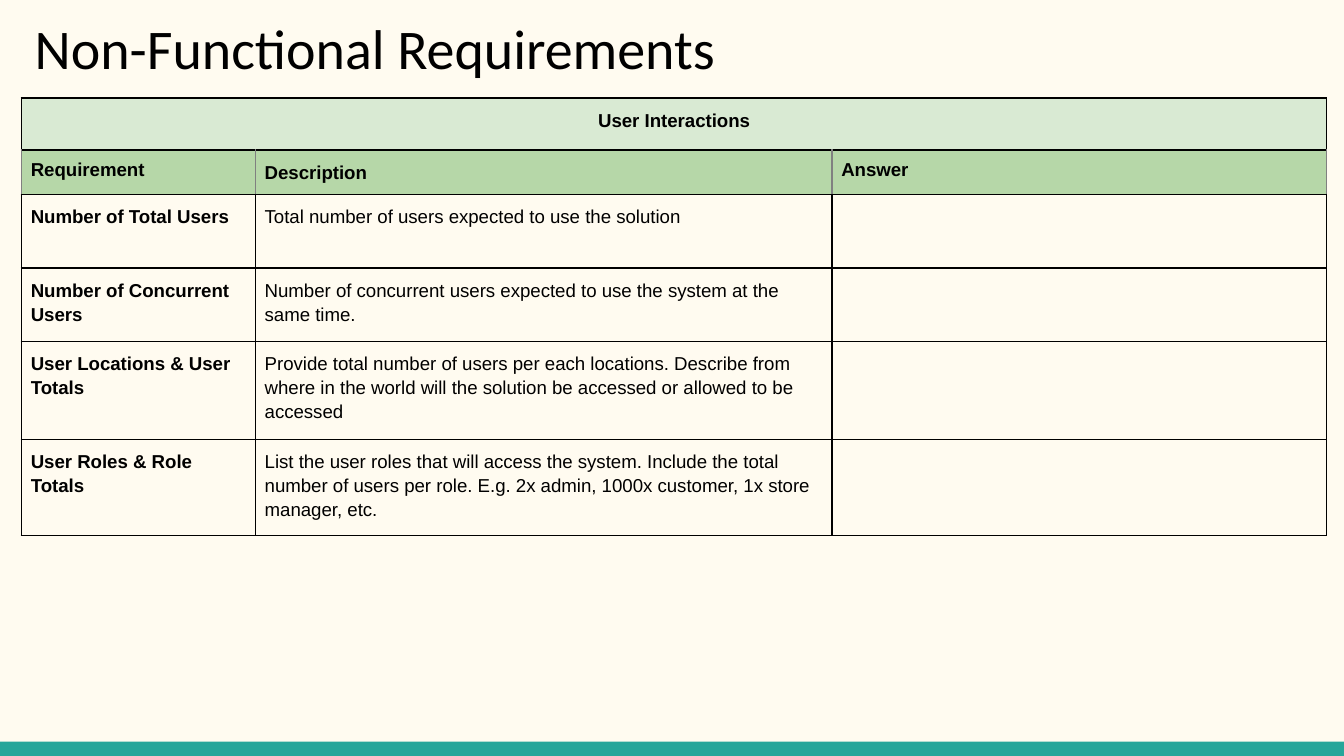
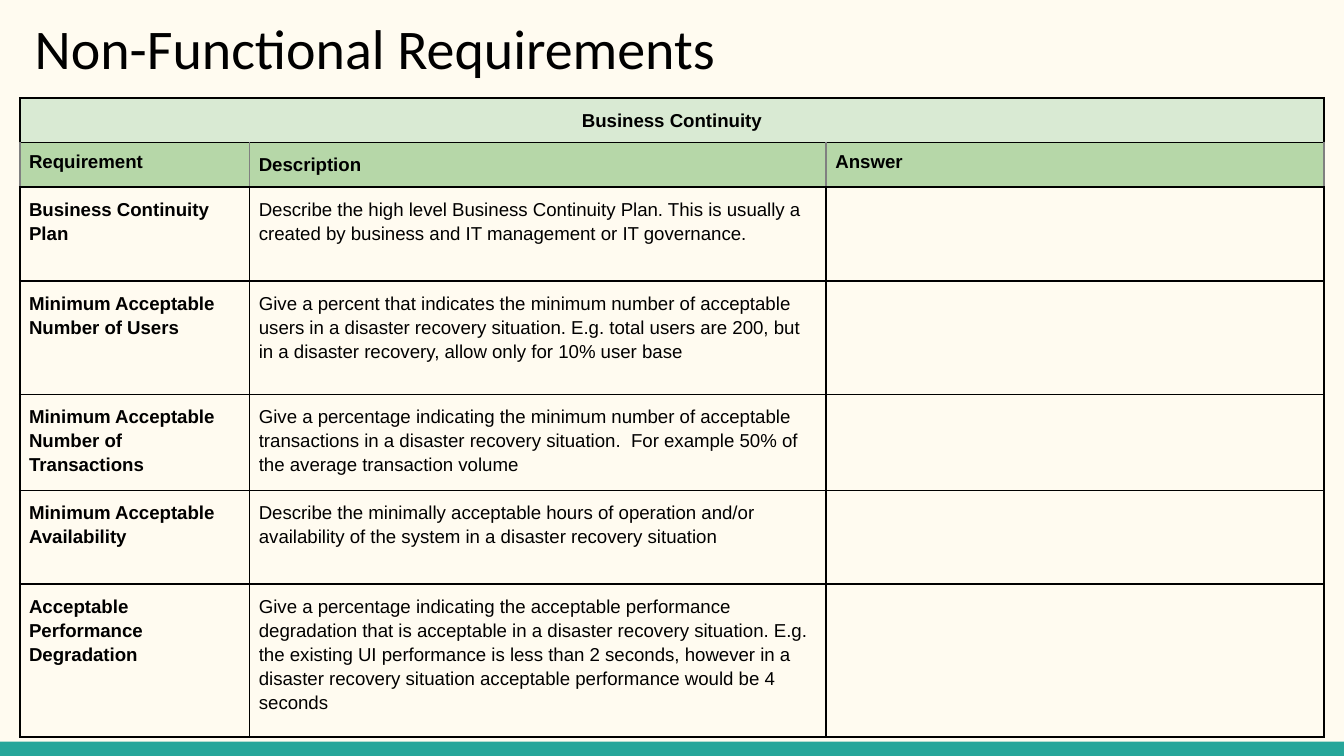
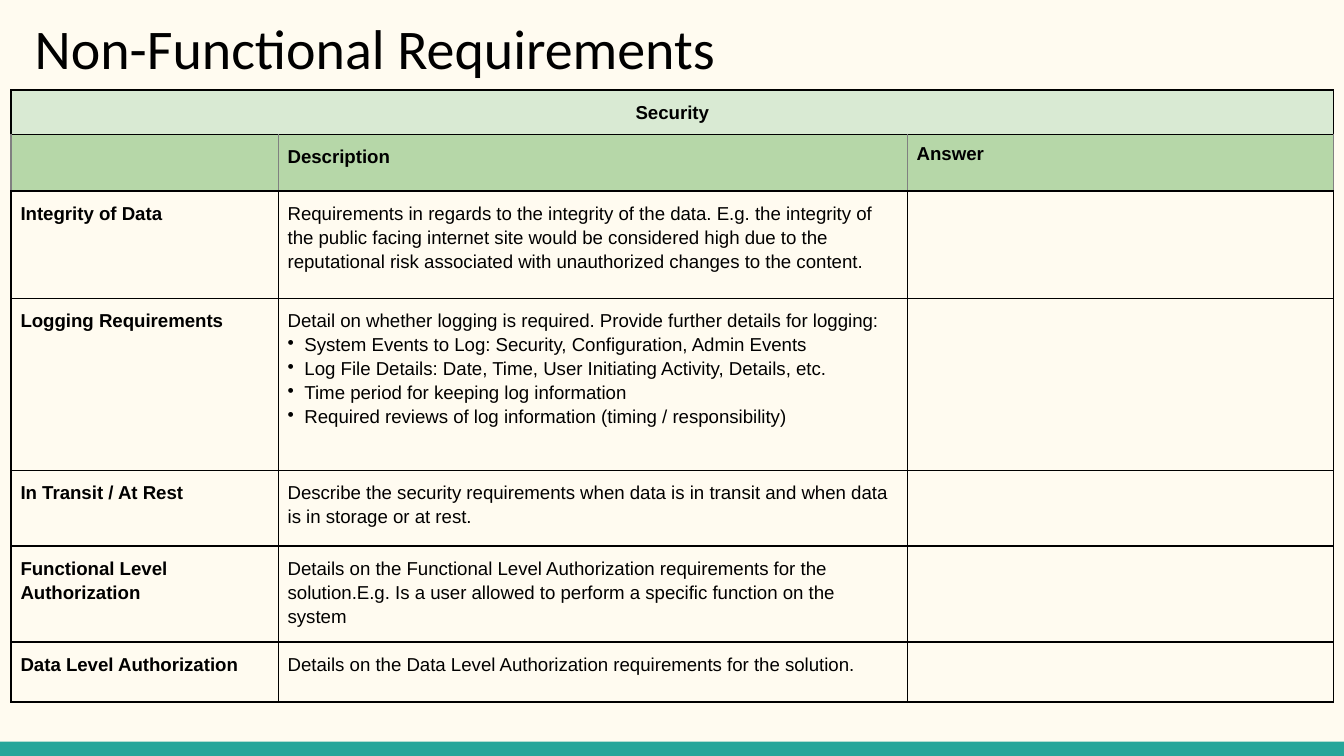
from dataclasses import dataclass

import lxml.etree
import pptx
import pptx.dml.color
import pptx.enum.shapes
import pptx.enum.text
import pptx.oxml.ns
import pptx.util

Pt = pptx.util.Pt
qn = pptx.oxml.ns.qn


@dataclass(frozen=True)
class Theme:
    background: str = "FFFBF0"
    band: str = "26A69A"
    section: str = "D9EAD3"
    header: str = "B6D7A8"
    ink: str = "000000"
    header_line: str = "808080"
    title_font: str = "Calibri"
    body_font: str = "Arial"
    title_size: int = 30
    body_size: int = 10
    body_spacing: float = 1.15
    cell_margin: int = 5
    title_margin: float = 7.2
    bullet_indent: int = 9
    line_width: int = 1


def rgb(color):
    return pptx.dml.color.RGBColor.from_string(color)


class RequirementsDeck:
    def __init__(self, theme):
        self.theme = theme
        self.deck = pptx.Presentation()
        self.deck.slide_width, self.deck.slide_height = Pt(720), Pt(405)
        fill = self.deck.slide_master.background.fill
        fill.solid()
        fill.fore_color.rgb = rgb(theme.background)

    def add_page(self, title):
        self.page = self.deck.slides.add_slide(self.deck.slide_layouts[6])
        self.add_band()
        self.add_title(title)

    def add_band(self):
        band = self.page.shapes.add_shape(
            pptx.enum.shapes.MSO_SHAPE.RECTANGLE, 0, Pt(397.4), Pt(720), Pt(7.6))
        band.shadow.inherit = False
        band.fill.solid()
        band.fill.fore_color.rgb = rgb(self.theme.band)
        band.line.fill.background()

    def add_title(self, title):
        box = self.page.shapes.add_textbox(Pt(11.5), 0, Pt(671), Pt(48.2))
        frame = box.text_frame
        frame.word_wrap = True
        self.set_margins(frame, self.theme.title_margin)
        paragraph = frame.paragraphs[0]
        paragraph.text = title
        self.set_font(paragraph, self.theme.title_font, self.theme.title_size)

    def set_margins(self, area, margin):
        area.margin_left = area.margin_right = Pt(margin)
        area.margin_top = area.margin_bottom = Pt(margin)

    def set_font(self, paragraph, name, size, bold=False):
        paragraph.font.name = name
        paragraph.font.size = Pt(size)
        paragraph.font.bold = bold
        paragraph.font.color.rgb = rgb(self.theme.ink)

    def add_table(self, left, top, widths, heights, section, headers, requirements):
        """Add a section row, a header row and one row per requirement."""
        theme = self.theme
        frame = self.page.shapes.add_table(
            len(heights), len(widths), Pt(left), Pt(top), Pt(sum(widths)), Pt(sum(heights)))
        table = frame.table
        table.first_row = table.horz_banding = False
        for column, width in zip(table.columns, widths):
            column.width = Pt(width)
        for row, height in zip(table.rows, heights):
            row.height = Pt(height)

        for cell in table.rows[0].cells:
            self.style_cell(cell, theme.section, theme.ink)
        table.cell(0, 0).merge(table.cell(0, len(widths) - 1))
        self.write_cell(table.cell(0, 0), [section], bold=True)
        table.cell(0, 0).text_frame.paragraphs[0].alignment = pptx.enum.text.PP_ALIGN.CENTER

        for cell, label in zip(table.rows[1].cells, headers):
            self.style_cell(cell, theme.header, theme.header_line)
            spacing = theme.body_spacing if label == "Description" else 1.0
            self.write_cell(cell, [label], bold=True, spacing=spacing)

        for index, (name, *description) in enumerate(requirements, start=2):
            for column, lines in enumerate(([name], description, [""])):
                cell = table.cell(index, column)
                self.style_cell(cell, None, theme.ink)
                self.write_cell(cell, lines, bold=column == 0)

    def write_cell(self, cell, lines, bold=False, spacing=None):
        """Write the first line plain and any further lines as bullets."""
        theme = self.theme
        frame = cell.text_frame
        for index, line in enumerate(lines):
            paragraph = frame.add_paragraph() if index else frame.paragraphs[0]
            paragraph.text = line
            paragraph.line_spacing = spacing or theme.body_spacing
            if index:
                self.add_bullet(paragraph)
            self.set_font(paragraph, theme.body_font, theme.body_size, bold)

    def add_bullet(self, paragraph):
        properties = paragraph._p.get_or_add_pPr()
        indent = Pt(self.theme.bullet_indent)
        properties.set("marL", str(indent))
        properties.set("indent", str(-indent))
        lxml.etree.SubElement(properties, qn("a:buChar")).set("char", "•")

    def style_cell(self, cell, fill, side_color):
        self.set_margins(cell, self.theme.cell_margin)
        if fill:
            cell.fill.solid()
            cell.fill.fore_color.rgb = rgb(fill)
        else:
            cell.fill.background()
        ink = self.theme.ink
        borders = {"a:lnL": side_color, "a:lnR": side_color, "a:lnT": ink, "a:lnB": ink}
        properties = cell._tc.get_or_add_tcPr()
        for position, (tag, color) in enumerate(borders.items()):
            line = lxml.etree.Element(qn(tag), w=str(Pt(self.theme.line_width)))
            solid = lxml.etree.SubElement(line, qn("a:solidFill"))
            lxml.etree.SubElement(solid, qn("a:srgbClr")).set("val", color)
            properties.insert(position, line)


HEADERS = ["Requirement", "Description", "Answer"]

TABLES = [
    dict(
        left=11.5, top=52.5, widths=[125.3, 308.9, 265],
        heights=[27.9, 23, 39.4, 39.4, 52.5, 48.7],
        section="User Interactions", headers=HEADERS,
        requirements=[
            ("Number of Total Users",
             "Total number of users expected to use the solution"),
            ("Number of Concurrent Users",
             "Number of concurrent users expected to use the system at the same time."),
            ("User Locations & User Totals",
             "Provide total number of users per each locations. Describe from where in the "
             "world will the solution be accessed or allowed to be accessed"),
            ("User Roles & Role Totals",
             "List the user roles that will access the system. Include the total number of "
             "users per role. E.g. 2x admin, 1000x customer, 1x store manager, etc."),
        ]),
    dict(
        left=10.6, top=52.5, widths=[123.1, 308.9, 266.6],
        heights=[22.8, 22.8, 50.4, 60.8, 50.4, 50.2, 82],
        section="Business Continuity", headers=HEADERS,
        requirements=[
            ("Business Continuity Plan",
             "Describe the high level Business Continuity Plan. This is usually a created by "
             "business and IT management or IT governance."),
            ("Minimum Acceptable Number of Users",
             "Give a percent that indicates the minimum number of acceptable users in a "
             "disaster recovery situation. E.g. total users are 200, but in a disaster "
             "recovery, allow only for 10% user base"),
            ("Minimum Acceptable Number of Transactions",
             "Give a percentage indicating the minimum number of acceptable transactions in a "
             "disaster recovery situation.  For example 50% of the average transaction volume"),
            ("Minimum Acceptable Availability",
             "Describe the minimally acceptable hours of operation and/or availability of the "
             "system in a disaster recovery situation"),
            ("Acceptable Performance Degradation",
             "Give a percentage indicating the acceptable performance degradation that is "
             "acceptable in a disaster recovery situation. E.g. the existing UI performance is "
             "less than 2 seconds, however in a disaster recovery situation acceptable "
             "performance would be 4 seconds"),
        ]),
    dict(
        left=6, top=48.2, widths=[143.1, 337, 228.2],
        heights=[23.7, 30.5, 57.4, 92.2, 40.6, 48.7, 32.2],
        section="Security", headers=["", *HEADERS[1:]],
        requirements=[
            ("Integrity of Data",
             "Requirements in regards to the integrity of the data. E.g. the integrity of the "
             "public facing internet site would be considered high due to the reputational "
             "risk associated with unauthorized changes to the content."),
            ("Logging Requirements",
             "Detail on whether logging is required. Provide further details for logging:",
             "System Events to Log: Security, Configuration, Admin Events",
             "Log File Details: Date, Time, User Initiating Activity, Details, etc.",
             "Time period for keeping log information",
             "Required reviews of log information (timing / responsibility)"),
            ("In Transit / At Rest",
             "Describe the security requirements when data is in transit and when data is in "
             "storage or at rest."),
            ("Functional Level Authorization",
             "Details on the Functional Level Authorization requirements for the solution.E.g. "
             "Is a user allowed to perform a specific function on the system"),
            ("Data Level Authorization",
             "Details on the Data Level Authorization requirements for the solution."),
        ]),
]


def main():
    requirements_deck = RequirementsDeck(Theme())
    for table in TABLES:
        requirements_deck.add_page("Non-Functional Requirements")
        requirements_deck.add_table(**table)
    requirements_deck.deck.save("out.pptx")


if __name__ == "__main__":
    main()
